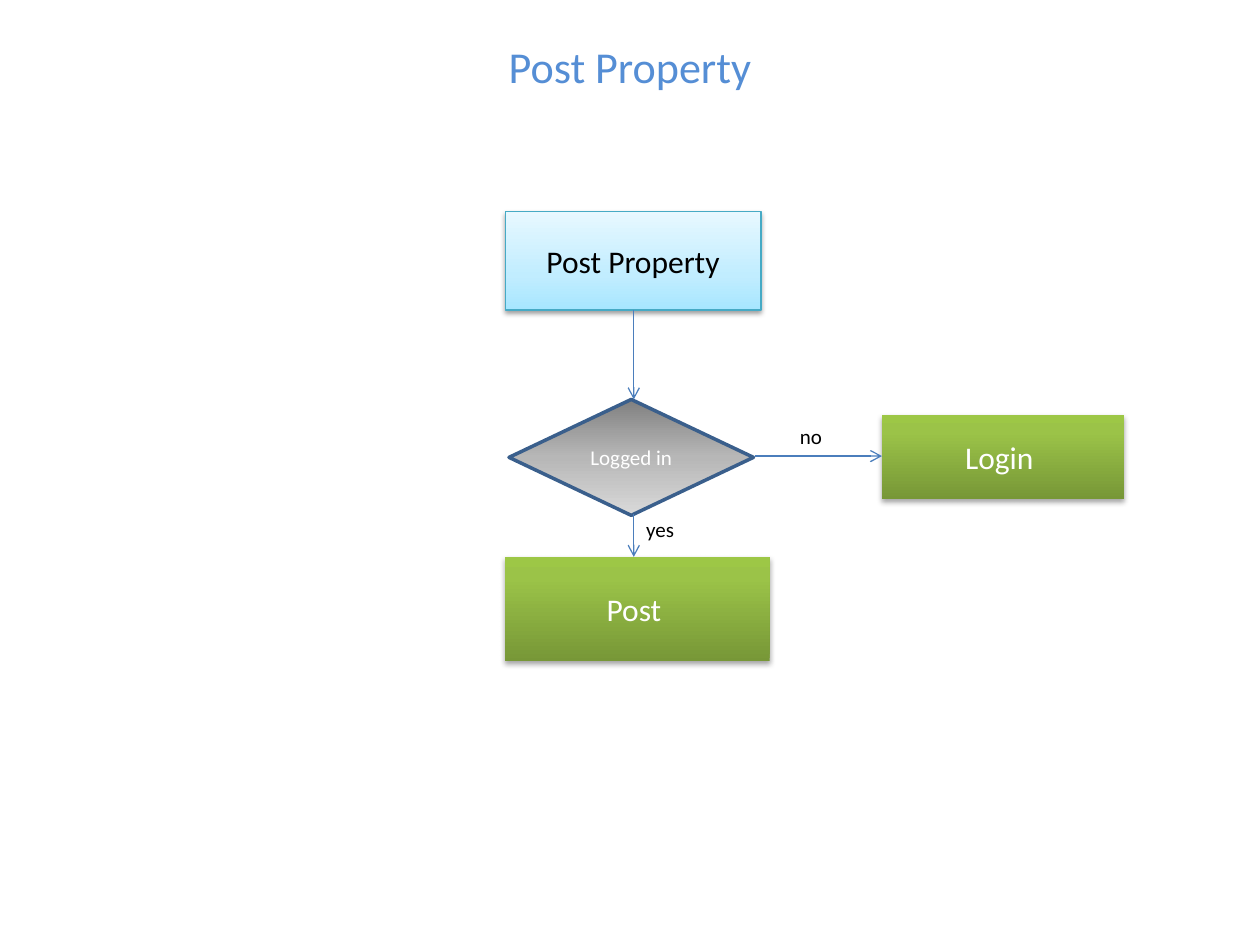
from lxml import etree
from pptx import Presentation
from pptx import util as u
from pptx.dml.color import RGBColor
from pptx.enum import shapes, text
from pptx.oxml.ns import qn

COLORS = {"title": "558ED5", "black": "000000", "white": "FFFFFF", "arrow": "4B7EBC",
          "start_line": "46AAC5", "decision_line": "3A5F8C"}
BLUE = [(0, "A7E6FF"), (35, "C1EDFF"), (100, "E7F8FF")]
GREEN = [(0, "779737"), (80, "9BC348"), (100, "9DC746")]
GRAY = [(0, "808080"), (50, "B7B7B7"), (100, "D9D9D9")]


def rgb(name):
    """Return the named colour."""
    return RGBColor.from_string(COLORS[name])


def place(part, box):
    """Move a part to a box given in inches."""
    part.left, part.top, part.width, part.height = map(u.Inches, box)


def write(part, words, size, color, align=text.PP_ALIGN.CENTER, anchor=text.MSO_ANCHOR.MIDDLE):
    """Set and format the words of a part."""
    frame = part.text_frame
    frame.text = words
    frame.word_wrap = True
    frame.auto_size = text.MSO_AUTO_SIZE.NONE
    frame.vertical_anchor = anchor
    frame.paragraphs[0].alignment = align
    font = frame.paragraphs[0].runs[0].font
    font.name, font.size = "Calibri", u.Pt(size)
    font.color.rgb = rgb(color)


def paint(part, stops, angle, line=None, width=0.75):
    """Give a part its gradient and outline."""
    part.fill.gradient()
    part.fill.gradient_angle = angle
    stop_list = part._element.spPr.find(qn("a:gradFill")).find(qn("a:gsLst"))
    for old in list(stop_list):
        stop_list.remove(old)
    for position, color in stops:
        stop = etree.SubElement(stop_list, qn("a:gs"), pos=str(position * 1000))
        etree.SubElement(stop, qn("a:srgbClr"), val=color)
    if line:
        part.line.color.rgb = rgb(line)
        part.line.width = u.Pt(width)
    else:
        part.line.fill.background()


def cast_shadow(part, opacity, distance):
    """Add a soft shadow straight below a part."""
    effects = part._element.spPr.find(qn("a:effectLst"))
    if effects is None:
        effects = etree.SubElement(part._element.spPr, qn("a:effectLst"))
    shadow = etree.SubElement(effects, qn("a:outerShdw"), blurRad=str(u.Pt(3.1)),
                              dist=str(u.Pt(distance)), dir="5400000", rotWithShape="0")
    color = etree.SubElement(shadow, qn("a:srgbClr"), val=COLORS["black"])
    etree.SubElement(color, qn("a:alpha"), val=str(opacity * 1000))


def add_step(slide, kind, box):
    """Add an empty flowchart step."""
    step = slide.shapes.add_shape(kind, *map(u.Inches, box))
    step.shadow.inherit = False
    return step


def style_action(action, words):
    """Style a green action step."""
    paint(action, GREEN, 90)
    cast_shadow(action, 35, 1.8)
    write(action, words, 18, "white")


def add_arrow(slide, x1, y1, x2, y2):
    """Add a thin arrow between two points."""
    arrow = slide.shapes.add_connector(shapes.MSO_CONNECTOR.STRAIGHT,
                                       *map(u.Inches, (x1, y1, x2, y2)))
    arrow.line.color.rgb = rgb("arrow")
    arrow.line.width = u.Pt(0.75)
    etree.SubElement(arrow.line._get_or_add_ln(), qn("a:tailEnd"), type="arrow")
    etree.SubElement(arrow._element.spPr, qn("a:effectLst"))


def add_answer(slide, words, box, wrap):
    """Add the label of a branch."""
    answer = slide.shapes.add_textbox(*map(u.Inches, box))
    write(answer, words, 12, "black", text.PP_ALIGN.LEFT, text.MSO_ANCHOR.TOP)
    answer.text_frame.word_wrap = wrap
    answer.text_frame.auto_size = text.MSO_AUTO_SIZE.SHAPE_TO_FIT_TEXT


def build_title(slide, box):
    """Place the slide title."""
    place(slide.shapes.title, box)
    write(slide.shapes.title, "Post Property", 25.2, "title")


def build_flow(slide, box):
    """Place the login flowchart in its box."""
    x, y, width, height = box
    rect = shapes.MSO_SHAPE.RECTANGLE

    start = add_step(slide, rect, (x, y, 2.03, 0.78))
    paint(start, BLUE, 90, "start_line")
    cast_shadow(start, 38, 1.6)
    write(start, "Post Property", 18, "black")

    post = add_step(slide, rect, (x, y + height - 0.83, 2.1, 0.83))
    style_action(post, "Post ")

    decision = add_step(slide, shapes.MSO_SHAPE.FLOWCHART_DECISION, (x + 0.03, y + 1.49, 1.94, 0.92))
    paint(decision, GRAY, 270, "decision_line", 2)
    write(decision, "Logged in", 12, "white")

    login = slide.placeholders[1]
    place(login, (x + width - 1.92, y + 1.61, 1.92, 0.67))
    style_action(login, "Login ")
    properties = login.text_frame.paragraphs[0]._p.get_or_add_pPr()
    properties.set("marL", "0")
    properties.set("indent", "0")
    etree.SubElement(properties, qn("a:buNone"))

    middle = x + 1.02
    add_arrow(slide, middle, y + 0.78, middle, y + 1.49)
    add_arrow(slide, middle, y + 2.4, middle, y + height - 0.83)
    add_arrow(slide, x + 1.98, y + 1.94, x + width - 1.92, y + 1.94)
    add_answer(slide, "yes", (middle, y + 2.37, 0.86, 0.3), True)
    add_answer(slide, "no", (x + 2.24, y + 1.63, 0.38, 0.3), False)


def main():
    """Build and save the slide."""
    deck = Presentation()
    deck.slide_width, deck.slide_height = u.Inches(10), u.Inches(7.5)
    slide = deck.slides.add_slide(deck.slide_layouts[1])
    build_title(slide, (0.5, 0.3, 9, 0.45))
    build_flow(slide, (4.01, 1.68, 4.91, 3.57))
    deck.save("out.pptx")


main()
